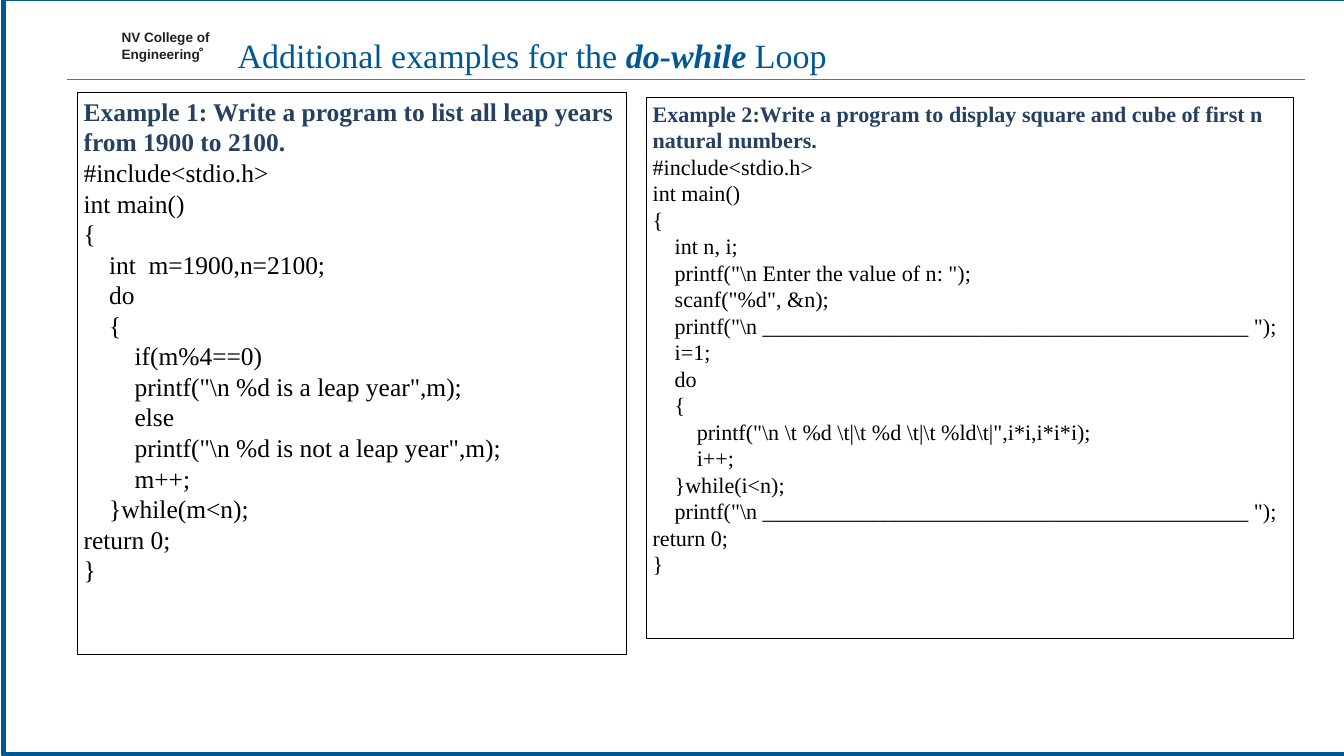
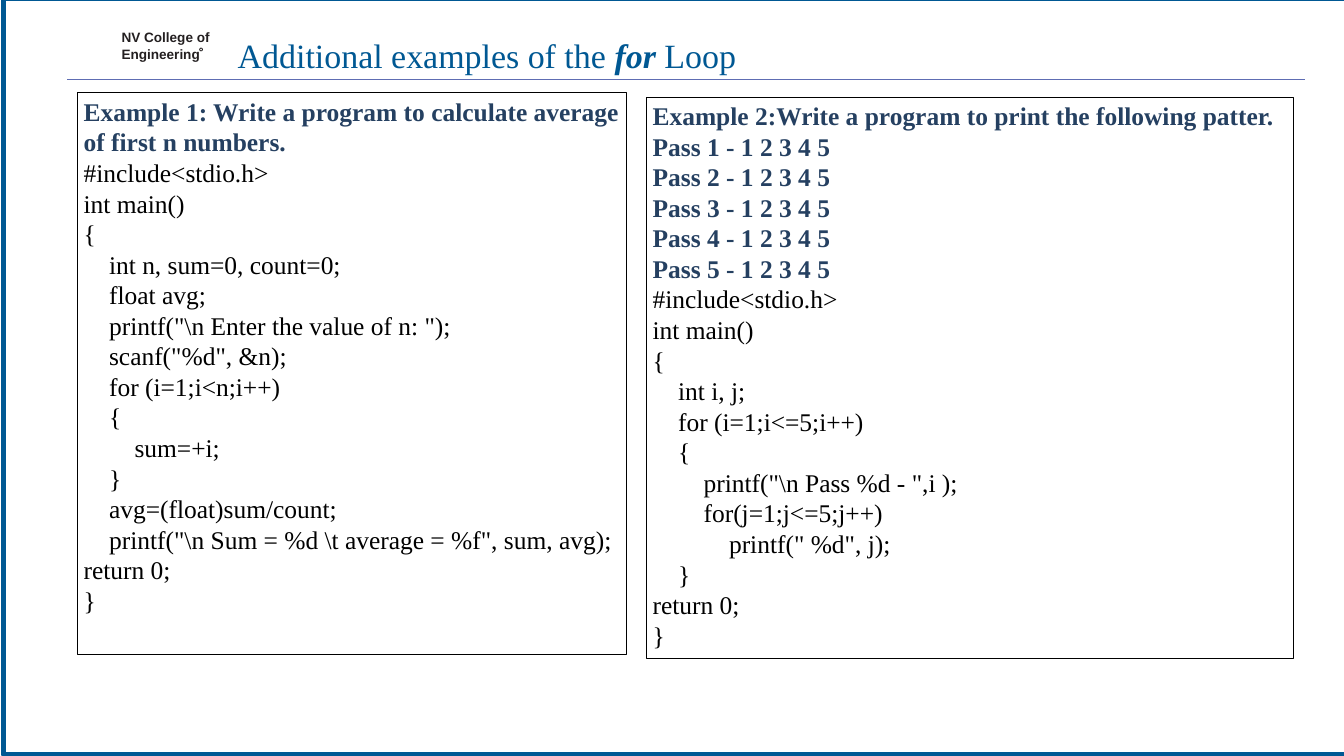
from lxml import etree
from pptx import Presentation
from pptx.dml.color import RGBColor
from pptx.enum import shapes, text
from pptx.oxml.ns import qn
from pptx.util import Pt

COLOURS = {
    "page": "FFFFFF", "brand": "005893", "rule": "5E6DB3",
    "logo": "231F20", "heading": "254061", "code": "000000",
}
SERIF, SANS = "Times New Roman", "Arial"
PAGE_WIDTH, PAGE_HEIGHT = 1583.28, 890.64
INDENT = 4           # spaces per nesting level in the listings
LINE_PITCH = 1.2     # line height in ems

COLLEGE = ["NV College of", "Engineering"]

LEFT_BOX = (91.44, 109.44, 646.56)    # left, top, width
RIGHT_BOX = (761.76, 114.48, 761.76)

SLIDES = [
    {
        "title": ("Additional examples for the ", "do-while", " Loop"),
        "examples": [
            {
                "place": LEFT_BOX, "height": 661.68, "size": 30,
                "heading": ["Example 1: Write a program to list all leap years from 1900 to 2100."],
                "code": r"""
#include<stdio.h>
int main()
{
    int  m=1900,n=2100;
    do
    {
        if(m%4==0)
        printf("\n %d is a leap year",m);
        else
        printf("\n %d is not a leap year",m);
        m++;
    }while(m<n);
return 0;
}
""",
            },
            {
                "place": RIGHT_BOX, "height": 637.2, "size": 26,
                "heading": ["Example 2:Write a program to display square and cube "
                            "of first n natural numbers."],
                "code": r"""
#include<stdio.h>
int main()
{
    int n, i;
    printf("\n Enter the value of n: ");
    scanf("%d", &n);
    printf("\n ____________________________________________ ");
    i=1;
    do
    {
        printf("\n \t %d \t|\t %d \t|\t %ld\t|",i*i,i*i*i);
        i++;
    }while(i<n);
    printf("\n ____________________________________________ ");
return 0;
}
""",
            },
        ],
    },
    {
        "title": ("Additional examples of the ", "for ", "Loop"),
        "examples": [
            {
                "place": LEFT_BOX, "height": 661.68, "size": 30,
                "heading": ["Example 1: Write a program to calculate average of first n numbers."],
                "code": r"""
#include<stdio.h>
int main()
{
    int n, sum=0, count=0;
    float avg;
    printf("\n Enter the value of n: ");
    scanf("%d", &n);
    for (i=1;i<n;i++)
    {
        sum=+i;
    }
    avg=(float)sum/count;
    printf("\n Sum = %d \t average = %f", sum, avg);
return 0;
}
""",
            },
            {
                "place": RIGHT_BOX, "height": 661.68, "size": 30,
                "heading": ["Example 2:Write a program to print the following patter."]
                + [f"Pass {number} - 1 2 3 4 5" for number in range(1, 6)],
                "code": r"""
#include<stdio.h>
int main()
{
    int i, j;
    for (i=1;i<=5;i++)
    {
        printf("\n Pass %d - ",i );
        for(j=1;j<=5;j++)
            printf(" %d", j);
    }
return 0;
}
""",
            },
        ],
    },
]


def colour(name):
    return RGBColor.from_string(COLOURS[name])


def add_box(page, left, top, width, height, kind="RECTANGLE", fill=None, line=None, weight=1):
    box = page.shapes.add_shape(shapes.MSO_SHAPE[kind], Pt(left), Pt(top), Pt(width), Pt(height))
    box.shadow.inherit = False
    if fill:
        box.fill.solid()
        box.fill.fore_color.rgb = colour(fill)
    else:
        box.fill.background()
    if line:
        box.line.color.rgb = colour(line)
        box.line.width = Pt(weight)
    else:
        box.line.fill.background()
    return box


def add_text_box(page, left, top, width, height):
    return page.shapes.add_textbox(Pt(left), Pt(top), Pt(width), Pt(height))


def write(box, lines, size, font=SERIF, pitch=None, before=0):
    """Fill a box; a line is (indent level, [(words, colour, bold, italic), ...])."""
    frame = box.text_frame
    frame.word_wrap = True
    frame.vertical_anchor = text.MSO_ANCHOR.TOP
    for number, (level, spans) in enumerate(lines):
        para = frame.add_paragraph() if number else frame.paragraphs[0]
        para.alignment = text.PP_ALIGN.LEFT
        para.line_spacing = Pt(pitch or size * LINE_PITCH)
        para.space_before = Pt(before)
        if level:
            properties = para._p.get_or_add_pPr()
            properties.set("marL", str(Pt(level * size)))
            properties.set("indent", "0")
        for words, tint, bold, italic in spans:
            span = para.add_run()
            span.text = words
            span.font.name = font
            span.font.size = Pt(size)
            span.font.bold = bold
            span.font.italic = italic
            span.font.color.rgb = colour(tint)


def add_rule(page, left, right, y):
    rule = page.shapes.add_connector(shapes.MSO_CONNECTOR.STRAIGHT, Pt(left), Pt(y), Pt(right), Pt(y))
    rule.line.color.rgb = colour("rule")
    rule.line.width = Pt(1.25)
    etree.SubElement(rule._element.spPr, qn("a:effectLst"))


def add_college(page):
    add_box(page, 234.72, 56.16, 4.32, 4.32, kind="DONUT", fill="logo")
    box = add_text_box(page, 143.28, 34.56, 108, 38.88)
    frame = box.text_frame
    frame.margin_left = frame.margin_right = frame.margin_bottom = 0
    frame.margin_top = Pt(1.44)
    write(box, [(0, [(words, "logo", True, False)]) for words in COLLEGE],
          size=16, font=SANS, pitch=17.9, before=1.4)


def add_title(page, title):
    start, keyword, end = title
    spans = [(start, "brand", False, False), (keyword, "brand", True, True),
             (end, "brand", False, False)]
    write(add_text_box(page, 273, 37.44, 864, 55.44), [(0, spans)], size=40)


def add_example(page, place, height, size, heading, code):
    lines = [(0, [(words, "heading", True, False)]) for words in heading]
    for row in code.strip().splitlines():
        words = row.lstrip()
        level = (len(row) - len(words)) // INDENT
        lines.append((level, [(words, "code", False, False)]))
    write(add_box(page, *place, height, line="code"), lines, size=size)


def main():
    deck = Presentation()
    deck.slide_width, deck.slide_height = Pt(PAGE_WIDTH), Pt(PAGE_HEIGHT)
    for content in SLIDES:
        page = deck.slides.add_slide(deck.slide_layouts[6])
        add_box(page, 4.32, -1.44, PAGE_WIDTH, PAGE_HEIGHT, fill="page", line="brand", weight=6)
        add_rule(page, 79.2, 1537.92, 93.6)
        add_college(page)
        add_title(page, content["title"])
        for example in content["examples"]:
            add_example(page, **example)
    deck.save("out.pptx")


if __name__ == "__main__":
    main()
